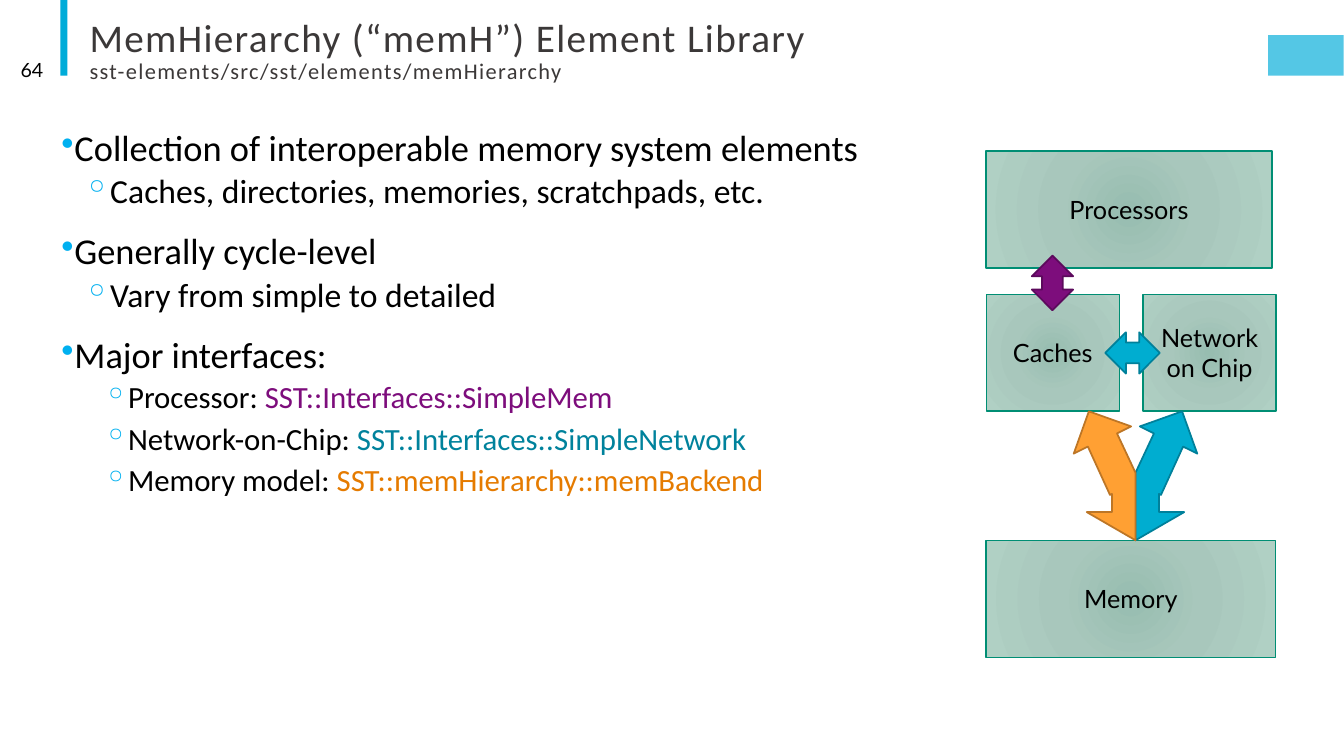
from typing import NamedTuple

from lxml import etree
from pptx import Presentation
from pptx import util as u
from pptx.dml.color import RGBColor
from pptx.enum import shapes, text
from pptx.oxml import ns

BLACK = "000000"
BOX_STOPS = ((0, "97BDB0"), (45, "A8C7BC"), (100, "B0D0C4"))


class Frame(NamedTuple):
    left: float
    top: float
    width: float
    height: float

    def lengths(self) -> list:
        return [u.Pt(value) for value in self]


class TextRun(NamedTuple):
    words: str
    color: str = BLACK


class Level(NamedTuple):
    bullet: str
    size: float
    margin: float
    indent: float
    before: float
    after: float


class Item(NamedTuple):
    level: int
    runs: tuple


class Block(NamedTuple):
    label: str
    frame: Frame


class DoubleArrow(NamedTuple):
    frame: Frame
    rotation: float
    fill: str
    line: str


class BentArrow(NamedTuple):
    side: int
    fill: str
    line: str


LEVELS = (
    Level("•", 26, 7.2, -21.6, 12, 2),
    Level("◦", 24, 30.2, -14.4, 2, 4),
    Level("◦", 22, 44.6, -14.4, 2, 4),
)
ITEMS = (
    Item(0, (TextRun("Collection of interoperable memory system elements"),)),
    Item(1, (TextRun("Caches, directories, memories, scratchpads, etc."),)),
    Item(0, (TextRun("Generally cycle-level"),)),
    Item(1, (TextRun("Vary from simple to detailed"),)),
    Item(0, (TextRun("Major interfaces:"),)),
    Item(2, (TextRun("Processor: "), TextRun("SST::Interfaces::SimpleMem", "7D0D7C"))),
    Item(2, (TextRun("Network-on-Chip: "), TextRun("SST::Interfaces::SimpleNetwork", "00829C"))),
    Item(2, (TextRun("Memory model: "), TextRun("SST::memHierarchy::memBackend", "E57B00"))),
)
BLOCKS = (
    Block("Processors", Frame(704.2, 108, 204.5, 83.5)),
    Block("Caches", Frame(704.5, 210.2, 95, 83.5)),
    Block("Network on Chip", Frame(816.5, 210.2, 95, 83.5)),
    Block("Memory", Frame(704.2, 386, 207, 83.5)),
)
DOUBLE_ARROWS = (
    DoubleArrow(Frame(737, 182.6, 29.5, 39), 0, "7D0D7C", "5C0A5C"),
    DoubleArrow(Frame(794.2, 232.6, 29.5, 39), 90, "00ADD0", "00809A"),
)
# The bent arrows mirror each other about this vertical axis
AXIS = 811.1
BENT_OUTLINE = (
    (33.3, 293.8), (44.1, 324), (34, 319), (18.2, 353.5), (16.8, 352.8), (16.8, 365.8),
    (34.8, 365.8), (0, 385.9), (0, 337.7), (13.2, 309.6), (3.1, 304.6),
)
BENT_ARROWS = (BentArrow(1, "00ADD0", "00809A"), BentArrow(-1, "FFA033", "BD7626"))


def rgb(value: str) -> RGBColor:
    return RGBColor.from_string(value)


def paint(shape, fill: str, line: str = "", width: float = 1.25) -> None:
    shape.shadow.inherit = False
    shape.fill.solid()
    shape.fill.fore_color.rgb = rgb(fill)
    if line:
        shape.line.color.rgb = rgb(line)
        shape.line.width = u.Pt(width)
    else:
        shape.line.fill.background()


def add_preset(slide, kind, frame: Frame):
    return slide.shapes.add_shape(kind, *frame.lengths())


def add_text_box(slide, frame: Frame, anchor):
    text_frame = slide.shapes.add_textbox(*frame.lengths()).text_frame
    text_frame.word_wrap = True
    text_frame.vertical_anchor = anchor
    return text_frame


def add_run(paragraph, words: str, size: float, font: str, color: str):
    run = paragraph.add_run()
    run.text = words
    run.font.size = u.Pt(size)
    run.font.name = font
    run.font.color.rgb = rgb(color)
    return run


def add_bullet(paragraph, level: Level) -> None:
    properties = paragraph._p.get_or_add_pPr()
    properties.set("marL", str(u.Pt(level.margin)))
    properties.set("indent", str(u.Pt(level.indent)))
    color = etree.SubElement(properties, ns.qn("a:buClr"))
    etree.SubElement(color, ns.qn("a:srgbClr"), val="00B0F0")
    etree.SubElement(properties, ns.qn("a:buChar"), char=level.bullet)


def fill_radially(shape) -> None:
    shape.fill.background()
    properties = shape._element.spPr
    gradient = etree.Element(ns.qn("a:gradFill"), rotWithShape="1")
    stops = etree.SubElement(gradient, ns.qn("a:gsLst"))
    for position, color in BOX_STOPS:
        stop = etree.SubElement(stops, ns.qn("a:gs"), pos=str(position * 1000))
        etree.SubElement(stop, ns.qn("a:srgbClr"), val=color)
    circle = etree.SubElement(gradient, ns.qn("a:path"), path="circle")
    etree.SubElement(circle, ns.qn("a:fillToRect"), l="50000", t="50000", r="50000", b="50000")
    properties.replace(properties.find(ns.qn("a:noFill")), gradient)


def add_header(slide) -> None:
    rectangle = shapes.MSO_SHAPE.RECTANGLE
    paint(add_preset(slide, rectangle, Frame(43.2, 0, 5, 54)), "00ACD9")
    tab = add_preset(slide, rectangle, Frame(905.8, 25.2, 54, 28.8))
    paint(tab, "00ACD9")
    color = tab._element.spPr.find(ns.qn("a:solidFill"))[0]
    etree.SubElement(color, ns.qn("a:alpha"), val="67000")

    title = add_text_box(slide, Frame(56.9, 18.7, 792, 44.6), text.MSO_ANCHOR.BOTTOM).paragraphs[0]
    title.line_spacing = 0.85
    heading = add_run(title, "MemHierarchy (“memH”) Element Library", 28, "Calibri", "3B3838")
    title.add_line_break()
    location = add_run(title, "sst-elements/src/sst/elements/memHierarchy", 16, "Calibri", "3B3838")
    for run in (heading, location):
        run.font._element.set("spc", "100")

    number = add_text_box(slide, Frame(5, 35.3, 33.1, 28.8), text.MSO_ANCHOR.MIDDLE).paragraphs[0]
    number.alignment = text.PP_ALIGN.RIGHT
    add_run(number, "64", 14, "Lato", BLACK)


def add_body(slide) -> None:
    body = add_text_box(slide, Frame(43.9, 89.3, 872.6, 405.4), text.MSO_ANCHOR.TOP)
    body.margin_left = body.margin_right = u.Pt(0)
    for index, item in enumerate(ITEMS):
        level = LEVELS[item.level]
        paragraph = body.add_paragraph() if index else body.paragraphs[0]
        paragraph.level = item.level
        paragraph.alignment = text.PP_ALIGN.JUSTIFY
        paragraph.line_spacing = 0.9
        paragraph.space_before = u.Pt(level.before if index else 0)
        paragraph.space_after = u.Pt(level.after)
        add_bullet(paragraph, level)
        for run in item.runs:
            add_run(paragraph, run.words, level.size, "Calibri", run.color)


def add_block(slide, block: Block) -> None:
    shape = add_preset(slide, shapes.MSO_SHAPE.RECTANGLE, block.frame)
    paint(shape, BOX_STOPS[0][1], "008E74", 1)
    fill_radially(shape)
    shape.text_frame.word_wrap = True
    shape.text_frame.vertical_anchor = text.MSO_ANCHOR.MIDDLE
    paragraph = shape.text_frame.paragraphs[0]
    paragraph.alignment = text.PP_ALIGN.CENTER
    add_run(paragraph, block.label, 18, "Lato", BLACK)


def add_double_arrow(slide, arrow: DoubleArrow) -> None:
    shape = add_preset(slide, shapes.MSO_SHAPE.UP_DOWN_ARROW, arrow.frame)
    shape.rotation = arrow.rotation
    paint(shape, arrow.fill, arrow.line)


def add_bent_arrow(slide, arrow: BentArrow) -> None:
    points = [(u.Pt(AXIS + arrow.side * x), u.Pt(y)) for x, y in BENT_OUTLINE]
    builder = slide.shapes.build_freeform(*points[0], scale=1.0)
    builder.add_line_segments(points[1:], close=True)
    paint(builder.convert_to_shape(), arrow.fill, arrow.line)


def main() -> None:
    presentation = Presentation()
    presentation.slide_width, presentation.slide_height = u.Pt(960), u.Pt(540)
    slide = presentation.slides.add_slide(presentation.slide_layouts[6])
    add_header(slide)
    add_body(slide)
    # Memory system diagram
    for block in BLOCKS:
        add_block(slide, block)
    for double_arrow in DOUBLE_ARROWS:
        add_double_arrow(slide, double_arrow)
    for bent_arrow in BENT_ARROWS:
        add_bent_arrow(slide, bent_arrow)
    presentation.save("out.pptx")


if __name__ == "__main__":
    main()
